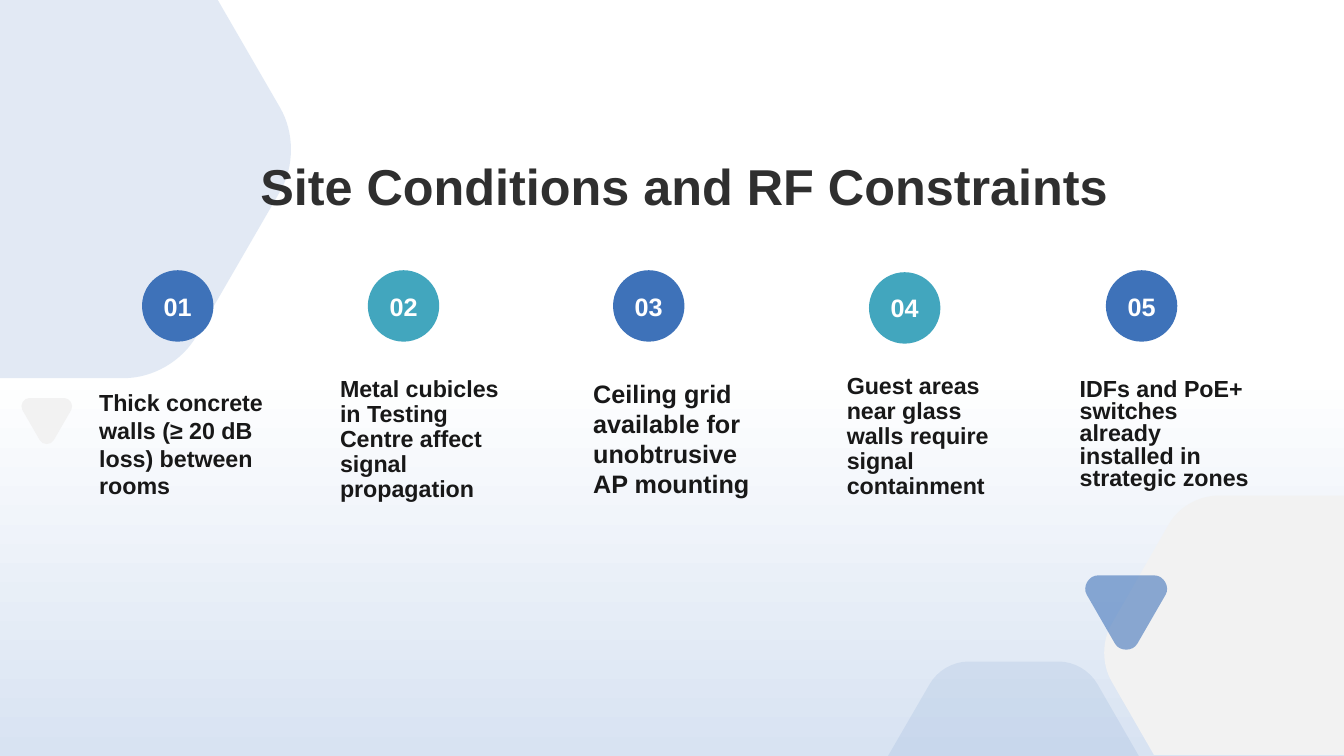
import math
import pptx
import pptx.dml.color
import pptx.enum.shapes
import pptx.enum.text
import pptx.oxml
import pptx.oxml.ns
import pptx.util
from pptx.util import Cm

ANCHOR = pptx.enum.text.MSO_ANCHOR
ALIGN = pptx.enum.text.PP_ALIGN
BLUE, TEAL, GREY = "3E72B9", "42A6BE", "F2F2F2"
BADGE_SIZE = 1.8
TEXT_WIDTH = 5.36

# text, text left, text top, text height, badge left, badge top, size, line spacing
CONDITIONS = [
    ("Thick concrete walls (≥ 20 dB loss) between rooms",
     1.81, 9.14, 3.58, 3.58, 6.81, 16.6, None),
    ("Metal cubicles in Testing Centre affect signal propagation",
     7.88, 9.22, 3.58, 9.27, 6.81, 16.6, 0.9),
    ("Ceiling grid available for unobtrusive AP mounting",
     14.26, 9.22, 3.48, 15.45, 6.81, 18, None),
    ("Guest areas near glass walls require signal containment",
     20.65, 9.14, 3.58, 21.9, 6.86, 16.6, 0.9),
    ("IDFs and PoE+ switches already installed in strategic zones",
     26.52, 9.25, 3.25, 27.87, 6.81, 16.6, 0.8),
]


def color(value):
    return pptx.dml.color.RGBColor.from_string(value)


def paint(shape, value, opacity=100):
    shape.shadow.inherit = False
    shape.fill.solid()
    shape.fill.fore_color.rgb = color(value)
    shape.line.fill.background()
    if opacity < 100:
        rgb = shape.fill._xPr.find(".//" + pptx.oxml.ns.qn("a:srgbClr"))
        alpha = pptx.oxml.parse_xml(
            f'<a:alpha {pptx.oxml.ns.nsdecls("a")} val="{opacity * 1000}"/>')
        rgb.append(alpha)


def write(shape, text, size=18, value="181818", align=ALIGN.LEFT,
          anchor=ANCHOR.TOP, spacing=None, margins=(0.25, 0.13, 0.25, 0.13)):
    """Fill a shape with one bold paragraph; margins are left, top, right, bottom."""
    frame = shape.text_frame
    frame.word_wrap = True
    frame.auto_size = pptx.enum.text.MSO_AUTO_SIZE.NONE
    frame.vertical_anchor = anchor
    (frame.margin_left, frame.margin_top,
     frame.margin_right, frame.margin_bottom) = map(Cm, margins)
    paragraph = frame.paragraphs[0]
    paragraph.alignment = align
    paragraph.space_before = pptx.util.Pt(0)
    if spacing:
        paragraph.line_spacing = spacing
    run = paragraph.add_run()
    run.text = text
    run.font.name = "Arial"
    run.font.size = pptx.util.Pt(size)
    run.font.bold = True
    run.font.color.rgb = color(value)


def toward(start, end, distance):
    share = distance / math.dist(start, end)
    return tuple(a + (b - a) * share for a, b in zip(start, end))


def corner_curve(before, corner, after, cut, handle):
    """Four control points of the curve that replaces a corner."""
    inner = cut * (1 - handle)
    return [toward(corner, before, cut), toward(corner, before, inner),
            toward(corner, after, inner), toward(corner, after, cut)]


def curve_middle(curve):
    return tuple((a + 3 * b + 3 * c + d) / 8 for a, b, c, d in zip(*curve))


def bend(shape, curves):
    """Turn the two lines at each curve into one Bezier segment."""
    path = shape._element.find(".//" + pptx.oxml.ns.qn("a:path"))
    segments = list(path)
    for index, curve in curves.items():
        points = "".join(
            f'<a:pt x="{Cm(x) - shape.left}" y="{Cm(y) - shape.top}"/>'
            for x, y in curve[1:])
        bezier = pptx.oxml.parse_xml(
            f'<a:cubicBezTo {pptx.oxml.ns.nsdecls("a")}>{points}</a:cubicBezTo>')
        path.replace(segments[index + 1], bezier)
        path.remove(segments[index + 2])


def add_rounded_polygon(slide, corners, rounded, cut, value, opacity=100, handle=0.6):
    """Draw a polygon whose corners at the rounded indexes are curved."""
    outline, curves = [], {}
    for index, corner in enumerate(corners):
        if index in rounded:
            after = corners[(index + 1) % len(corners)]
            curve = corner_curve(corners[index - 1], corner, after, cut, handle)
            curves[len(outline)] = curve
            outline += [curve[0], curve_middle(curve), curve[3]]
        else:
            outline.append(corner)
    points = [(Cm(x), Cm(y)) for x, y in outline]
    builder = slide.shapes.build_freeform(*points[0])
    builder.add_line_segments(points[1:], close=True)
    shape = builder.convert_to_shape()
    bend(shape, curves)
    paint(shape, value, opacity)


def add_triangle(slide, center, top, side, value, opacity=100):
    """Draw a rounded equilateral triangle that points down."""
    corners = [(center - side / 2, top), (center + side / 2, top),
               (center, top + side * math.sqrt(3) / 2)]
    add_rounded_polygon(slide, corners, (0, 1, 2), side * 0.22, value, opacity,
                        handle=0.41)


def add_backdrop(slide, width, height):
    fill = slide.background.fill
    fill.gradient()
    fill.gradient_angle = 90
    for stop, (position, value) in zip(fill.gradient_stops,
                                       [(0, "D8E3F2"), (0.51, "FFFFFF")]):
        stop.position = position
        stop.color.rgb = color(value)
    add_rounded_polygon(
        slide, [(0, 0), (5.49, 0), (7.67, 3.77), (4.34, 9.53), (0, 9.53)],
        (2, 3), 1.22, BLUE, 15)
    add_rounded_polygon(
        slide, [(29.08, 19.02), (27.6, 16.45), (29.87, 12.49),
                (width, 12.49), (width, 19.02)],
        (1, 2), 0.83, GREY)
    add_triangle(slide, 28.38, 14.5, 2.55, BLUE, 59)
    add_rounded_polygon(
        slide, [(22.38, height), (23.76, 16.67), (27.33, 16.67), (28.7, height)],
        (1, 2), 0.65, BLUE, 10)
    add_triangle(slide, 1.18, 10.03, 1.58, GREY)


def add_title(slide, text, left, top, width, height):
    title = slide.shapes.title
    title.left, title.top = Cm(left), Cm(top)
    title.width, title.height = Cm(width), Cm(height)
    write(title, text, size=36, value="2F2F2F", align=ALIGN.CENTER)


def add_badge(slide, label, left, top, value):
    badge = slide.shapes.add_shape(
        pptx.enum.shapes.MSO_SHAPE.OVAL,
        Cm(left), Cm(top), Cm(BADGE_SIZE), Cm(BADGE_SIZE))
    paint(badge, value)
    write(badge, label, value="FFFFFF", align=ALIGN.CENTER, anchor=ANCHOR.MIDDLE)


def add_condition(slide, text, left, top, height, size, spacing):
    box = slide.shapes.add_textbox(Cm(left), Cm(top), Cm(TEXT_WIDTH), Cm(height))
    write(box, text, size=size, anchor=ANCHOR.BOTTOM, spacing=spacing,
          margins=(0.69, 0.13, 0.25, 0.13))


def main():
    presentation = pptx.Presentation()
    width, height = 33.87, 19.05
    presentation.slide_width, presentation.slide_height = Cm(width), Cm(height)
    slide = presentation.slides.add_slide(presentation.slide_layouts[5])
    add_backdrop(slide, width, height)
    # The title stands in front of the backdrop.
    slide.shapes._spTree.append(slide.shapes.title._element)
    add_title(slide, "Site Conditions and RF Constraints", 2.16, 3.78, 30.18, 1.98)
    for number, condition in enumerate(CONDITIONS, start=1):
        text, left, top, text_height, badge_left, badge_top, size, spacing = condition
        add_badge(slide, f"{number:02}", badge_left, badge_top,
                  BLUE if number % 2 else TEAL)
        add_condition(slide, text, left, top, text_height, size, spacing)
    presentation.save("out.pptx")


if __name__ == "__main__":
    main()
